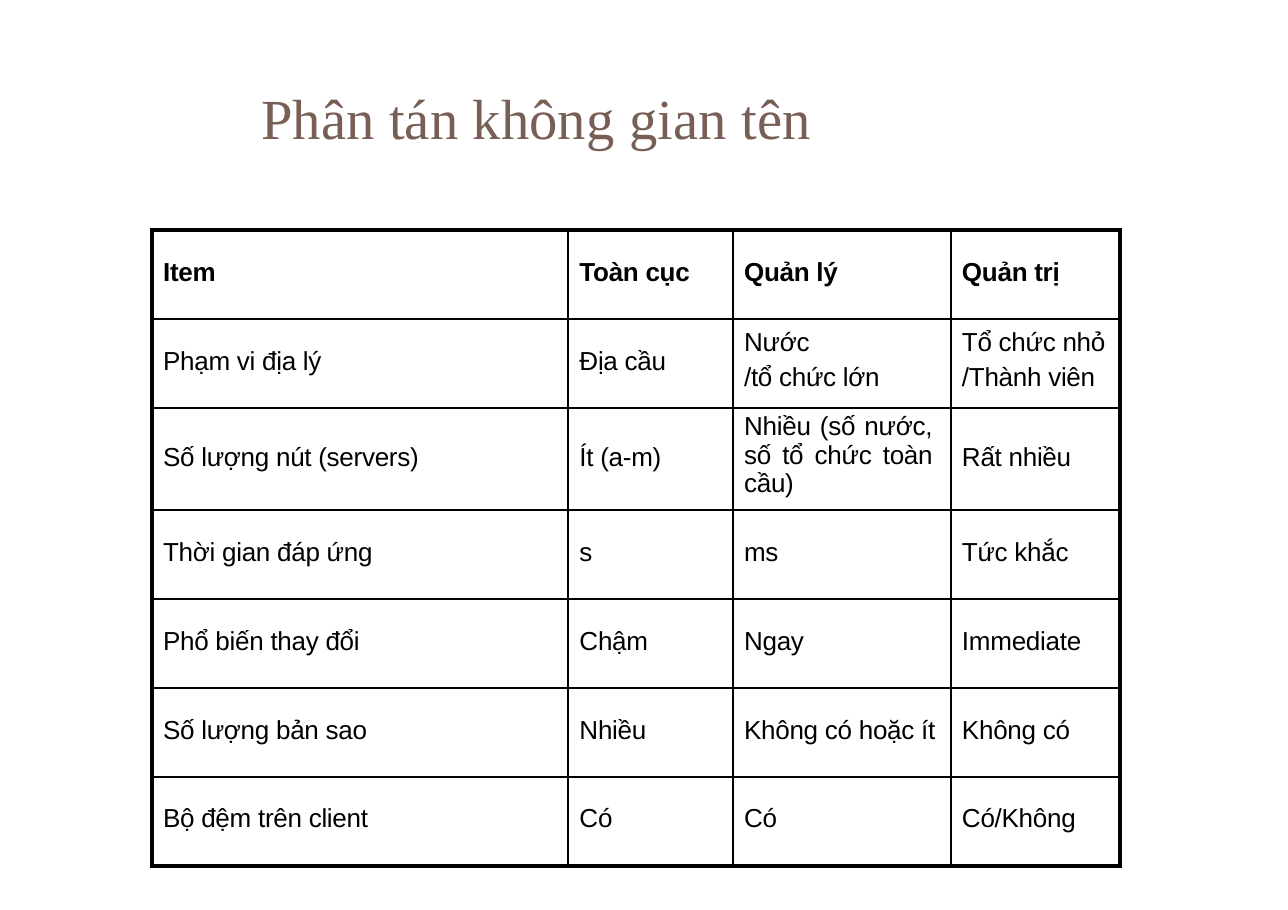
from dataclasses import dataclass

from lxml import etree
from pptx import Presentation
from pptx import util as u
from pptx.dml.color import RGBColor
from pptx.enum import text
from pptx.oxml.ns import qn


@dataclass(frozen=True)
class Theme:
    """Colours, fonts and sizes of the slide."""
    title_color: str = "775F55"
    ink: str = "000000"
    title_font: str = "Times New Roman"
    body_font: str = "Arial"
    title_size: float = 37
    body_size: float = 17
    thin: float = 1.5
    thick: float = 3


THEME = Theme()
SLIDE_SIZE = (11.69, 8.26)
TITLE_BOX = (2.37, 0.74, 5.03, 0.65)
TABLE_BOX = (1.38, 2.09, 8.79, 5.77)
COLUMN_SHARES = (0.43, 0.17, 0.225, 0.175)
ROW_SHARES = (0.14, 0.14, 0.16, 0.14, 0.14, 0.14, 0.14)
ROWS = (
    ("Item", "Toàn cục", "Quản lý", "Quản trị"),
    ("Phạm vi địa lý", "Địa cầu", "Nước\n/tổ chức lớn", "Tổ chức nhỏ\n/Thành viên"),
    ("Số lượng nút (servers)", "Ít (a-m)", "Nhiều (số nước, số tổ chức toàn cầu)", "Rất nhiều"),
    ("Thời gian đáp ứng", "s", "ms", "Tức khắc"),
    ("Phổ biến thay đổi", "Chậm", "Ngay", "Immediate"),
    ("Số lượng bản sao", "Nhiều", "Không có hoặc ít", "Không có"),
    ("Bộ đệm trên client", "Có", "Có", "Có/Không"),
)
LIST_ROW = 1
SERVER_ROW = 2
JUSTIFIED_CELL = (2, 2)


def write_text(frame, content, font=THEME.body_font, size=THEME.body_size, color=THEME.ink,
               bold=False, spacing=-0.2, align=text.PP_ALIGN.LEFT, line=1.0, gap=0):
    """Fill a text frame with one paragraph per line of content."""
    frame.word_wrap = True
    for index, words in enumerate(content.split("\n")):
        paragraph = frame.paragraphs[0] if index == 0 else frame.add_paragraph()
        paragraph.alignment = align
        paragraph.line_spacing = line
        paragraph.space_before = u.Pt(gap if index else 0)
        run = paragraph.add_run()
        run.text = words
        run.font.name = font
        run.font.size = u.Pt(size)
        run.font.bold = bold
        run.font.color.rgb = RGBColor.from_string(color)
        run.font._element.set("spc", str(round(spacing * 100)))


def set_margins(target, left=0, top=0, right=0, bottom=0):
    """Set the inner margins of a cell or text frame in inches."""
    target.margin_left, target.margin_top = u.Inches(left), u.Inches(top)
    target.margin_right, target.margin_bottom = u.Inches(right), u.Inches(bottom)


def set_borders(cell, outer_sides):
    """Draw thick lines on the outer sides of a cell and thin ones elsewhere."""
    properties = cell._tc.get_or_add_tcPr()
    for index, side in enumerate("LRTB"):
        width = THEME.thick if side in outer_sides else THEME.thin
        border = etree.Element(qn(f"a:ln{side}"), w=str(u.Pt(width)))
        fill = etree.SubElement(border, qn("a:solidFill"))
        etree.SubElement(fill, qn("a:srgbClr"), val=THEME.ink)
        properties.insert(index, border)


def add_title(slide, box):
    """Place and format the title in its box."""
    title = slide.shapes.title
    title.left, title.top, title.width, title.height = map(u.Inches, box)
    frame = title.text_frame
    frame.auto_size = text.MSO_AUTO_SIZE.NONE
    frame.vertical_anchor = text.MSO_ANCHOR.TOP
    set_margins(frame, top=0.01)
    write_text(frame, "Phân tán không gian tên", font=THEME.title_font,
               size=THEME.title_size, color=THEME.title_color, spacing=0.1)


def fill_cell(cell, content, row, column):
    """Write one table cell, with margins and alignment by its place."""
    cell.fill.background()
    cell.vertical_anchor = text.MSO_ANCHOR.TOP
    justified = (row, column) == JUSTIFIED_CELL
    top = 0.31 if row == SERVER_ROW else 0.25
    if justified:
        top = 0.04
    elif row == LIST_ROW and "\n" in content:
        top = 0.08
    set_margins(cell, left=0.1, top=top, right=0.17 if justified else 0)
    align = text.PP_ALIGN.JUSTIFY if justified else text.PP_ALIGN.LEFT
    write_text(cell.text_frame, content, bold=row == 0, align=align,
               line=0.98 if justified else 1.0, gap=3.6)
    edges = {"L": column == 0, "R": column == len(COLUMN_SHARES) - 1,
             "T": row == 0, "B": row == len(ROWS) - 1}
    set_borders(cell, [side for side, outer in edges.items() if outer])


def add_comparison_table(slide, box):
    """Build the table comparing the layers of the name space."""
    table = slide.shapes.add_table(len(ROWS), len(COLUMN_SHARES), *map(u.Inches, box)).table
    table.first_row = table.horz_banding = False
    for column, share in zip(table.columns, COLUMN_SHARES):
        column.width = u.Inches(box[2] * share)
    for row, share in zip(table.rows, ROW_SHARES):
        row.height = u.Inches(box[3] * share)
    for row, contents in enumerate(ROWS):
        for column, content in enumerate(contents):
            fill_cell(table.cell(row, column), content, row, column)


def main():
    """Build and save the presentation."""
    presentation = Presentation()
    presentation.slide_width, presentation.slide_height = map(u.Inches, SLIDE_SIZE)
    slide = presentation.slides.add_slide(presentation.slide_layouts[5])
    add_title(slide, TITLE_BOX)
    add_comparison_table(slide, TABLE_BOX)
    presentation.save("out.pptx")


if __name__ == "__main__":
    main()
